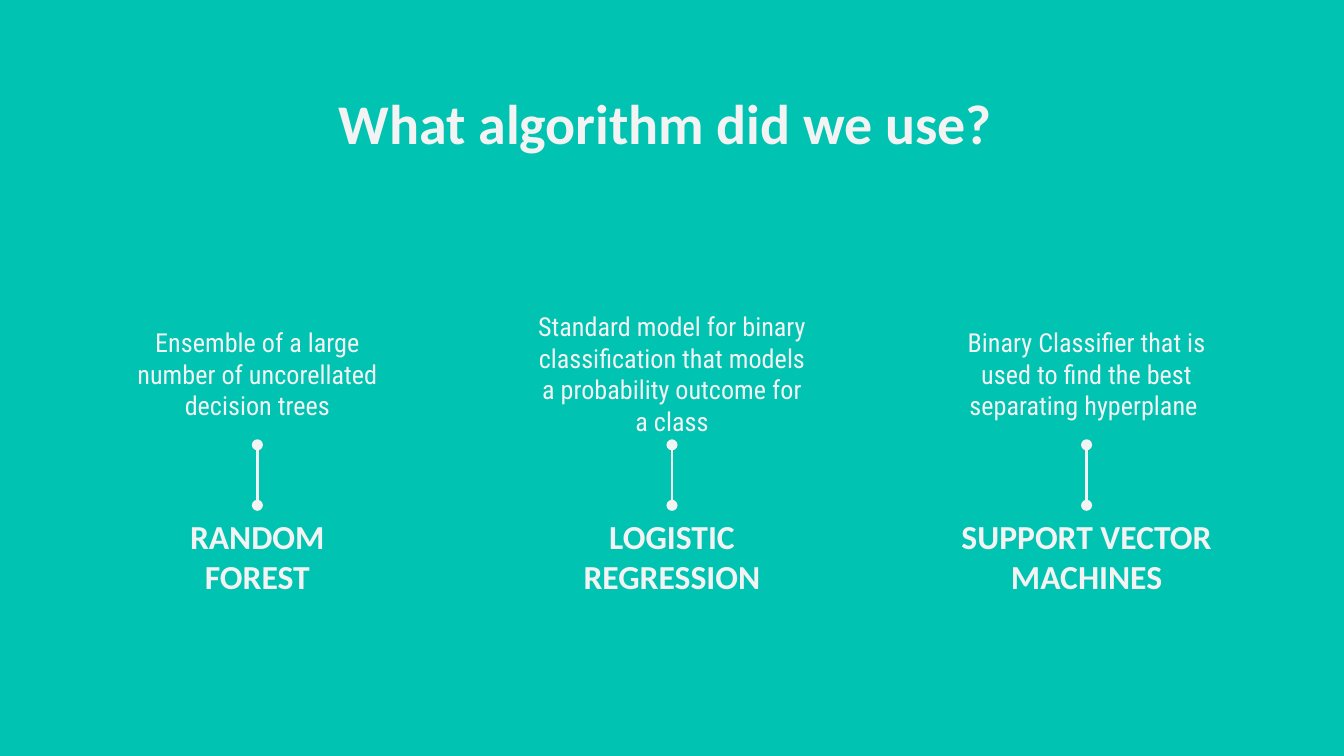
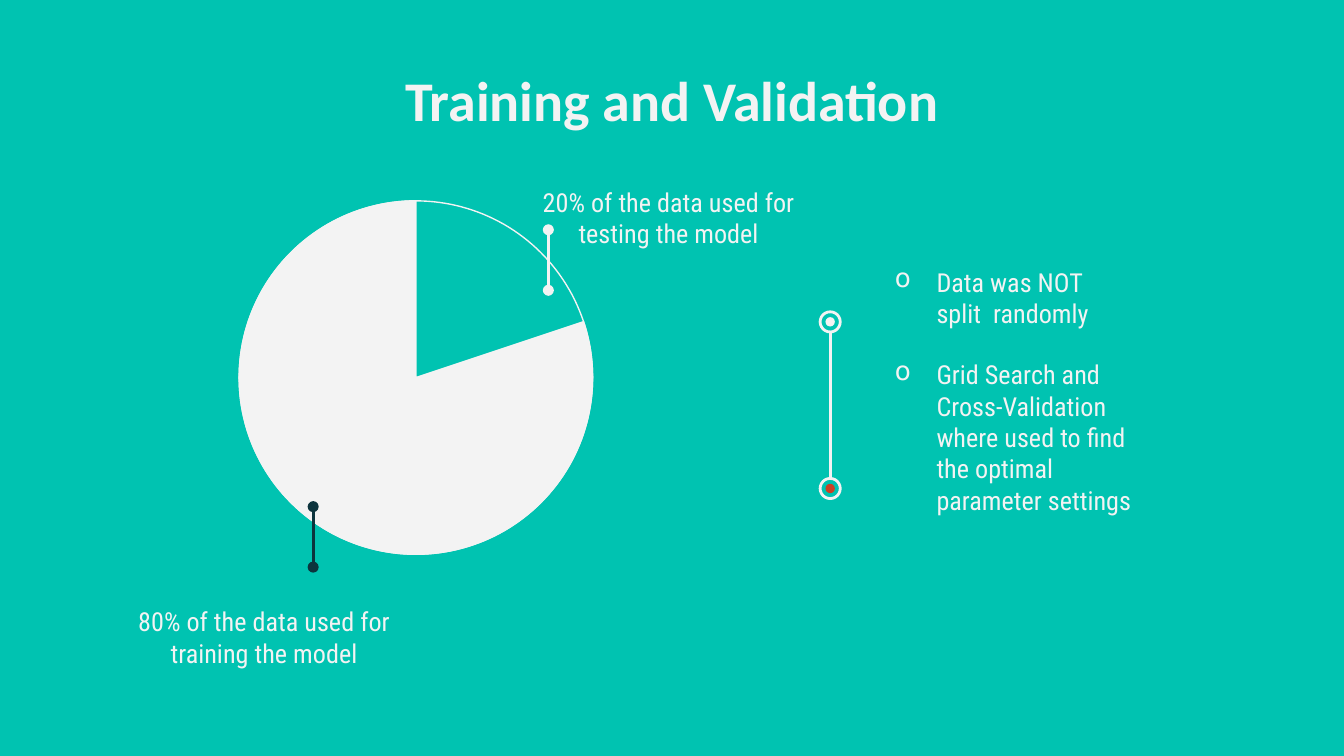
from lxml import etree
from pptx import Presentation
from pptx.dml.color import RGBColor
from pptx.enum.shapes import MSO_CONNECTOR, MSO_SHAPE
from pptx.enum.text import MSO_ANCHOR, PP_ALIGN
from pptx.oxml.ns import qn
from pptx.util import Inches, Pt

TEAL = RGBColor(0x00, 0xC3, 0xB1)
LIGHT = RGBColor(0xF3, 0xF3, 0xF3)
NAVY = RGBColor(0x0C, 0x34, 0x3D)
RED = RGBColor(0xCC, 0x41, 0x25)
OVAL, PIE, STRAIGHT = MSO_SHAPE.OVAL, MSO_SHAPE.PIE, MSO_CONNECTOR.STRAIGHT
LEFT, CENTER = PP_ALIGN.LEFT, PP_ALIGN.CENTER
TOP, MIDDLE = MSO_ANCHOR.TOP, MSO_ANCHOR.MIDDLE

HEADLINE = {"name": "Calibri", "size": Pt(30), "bold": True}
LABEL = {"name": "Calibri", "size": Pt(18), "bold": True}
BODY = {"name": "Roboto Condensed", "size": Pt(14), "bold": False}


def grid(cells):
    """The slide is a grid of 100 columns; cells are square, 0.1 inch wide."""
    return Inches(cells / 10)


class Deck:
    """Holds the shared style and the slide being filled."""

    def __init__(self):
        self.presentation = Presentation()
        self.presentation.slide_width = grid(100)
        self.presentation.slide_height = grid(56.25)
        self.slide = None

    def new_slide(self, title, row):
        self.slide = self.presentation.slides.add_slide(self.presentation.slide_layouts[6])
        fill = self.slide.background.fill
        fill.solid()
        fill.fore_color.rgb = TEAL
        self.text([title], 50, row, 84.3, 6.3, HEADLINE, anchor=TOP)

    def text(self, lines, center, row, width, height, font,
             anchor=MIDDLE, align=CENTER, inset=1, after=0, bullet=None):
        box = self.slide.shapes.add_textbox(
            grid(center - width / 2), grid(row), grid(width), grid(height))
        frame = box.text_frame
        layout = {"word_wrap": True, "vertical_anchor": anchor}
        layout.update({f"margin_{side}": grid(inset)
                       for side in ("left", "right", "top", "bottom")})
        for name, value in layout.items():
            setattr(frame, name, value)
        for index, line in enumerate(lines):
            paragraph = frame.add_paragraph() if index else frame.paragraphs[0]
            paragraph.text = line
            paragraph.alignment = align
            paragraph.space_after = Pt(after)
            for run in paragraph.runs:
                for name, value in font.items():
                    setattr(run.font, name, value)
                run.font.color.rgb = LIGHT
            for line_break in paragraph._p.findall(qn("a:br")):
                etree.SubElement(line_break, qn("a:rPr"), sz=str(int(font["size"].pt * 100)))
            if bullet:
                self.add_bullet(paragraph, bullet)

    def add_bullet(self, paragraph, character, indent=3.1):
        properties = paragraph._p.get_or_add_pPr()
        properties.set("marL", str(grid(indent)))
        properties.set("indent", str(-grid(indent)))
        color = etree.SubElement(properties, qn("a:buClr"))
        etree.SubElement(color, qn("a:srgbClr"), val=str(LIGHT))
        etree.SubElement(properties, qn("a:buChar"), char=character)

    def note(self, text, center, row):
        self.text([text], center, row, 22.5, 10.6, BODY, after=16)

    def round_shape(self, kind, center, middle, size, fill=None, outline=0):
        shape = self.slide.shapes.add_shape(
            kind, grid(center - size / 2), grid(middle - size / 2), grid(size), grid(size))
        shape.shadow.inherit = False
        if fill is None:
            shape.fill.background()
        else:
            shape.fill.solid()
            shape.fill.fore_color.rgb = fill
        if outline:
            shape.line.color.rgb = LIGHT
            shape.line.width = Pt(outline)
        else:
            shape.line.fill.background()
        return shape

    def vertical_line(self, column, top, height=4.5, color=LIGHT, dots=True):
        connector = self.slide.shapes.add_connector(
            STRAIGHT, grid(column), grid(top), grid(column), grid(top + height))
        connector.line.color.rgb = color
        connector.line.width = Pt(1.5)
        properties = connector._element.spPr
        if dots:
            for end in ("a:headEnd", "a:tailEnd"):
                etree.SubElement(properties.find(qn("a:ln")), qn(end), type="oval")
        etree.SubElement(properties, qn("a:effectLst"))

    def ring(self, column, middle, color):
        self.round_shape(OVAL, column, middle, 1.5, outline=1.5)
        self.round_shape(OVAL, column, middle, 0.7, fill=color)


deck = Deck()

# Algorithms: three equal columns, explanation above and name below
deck.new_slide("What algorithm did we use? ", 5.6)
ALGORITHMS = [
    ("RANDOM FOREST", 16.8, "Ensemble of a large number of uncorellated decision trees"),
    ("LOGISTIC REGRESSION", 16.8, "Standard model for binary classification that models "
                                  "a probability outcome for a class"),
    ("SUPPORT VECTOR MACHINES", 19, "Binary Classifier that is used to find the best "
                                    "separating hyperplane "),
]
for index, (name, width, explanation) in enumerate(ALGORITHMS):
    center = 50 + (index - 1) * 30.85
    deck.note(explanation, center, 22.5)
    deck.vertical_line(center, 33.1)
    deck.text([name], center, 37.6, width, 7.5, LABEL, inset=0)

# Training and validation: the split of the data
deck.new_slide("Training and Validation", 3.9)
PIE_CENTER, PIE_MIDDLE, PIE_SIZE = 30.95, 28.1, 26.3
deck.round_shape(OVAL, PIE_CENTER, PIE_MIDDLE, PIE_SIZE, outline=0.75)
training = deck.round_shape(PIE, PIE_CENTER, PIE_MIDDLE, PIE_SIZE, fill=LIGHT, outline=0.75)
training.adjustments[0] = 204.94
training.adjustments[1] = 162
deck.vertical_line(40.8, 17.1)
deck.vertical_line(23.3, 37.7, color=NAVY)
deck.note("20% of the data used for testing the model", 49.75, 10.9)
deck.note("80% of the data used for training the model", 19.65, 42.1)

# Remarks beside a line with a ring at each end
deck.text(["Data was NOT \vsplit  randomly",
           "Grid Search and Cross-Validation where used to find the optimal parameter settings"],
          76.55, 18.8, 21.9, 4.3, BODY, anchor=TOP, align=LEFT, after=16, bullet="o")
RING_COLUMN, RING_TOP, RING_GAP = 61.77, 23.95, 12.4
deck.vertical_line(RING_COLUMN, RING_TOP + 0.75, RING_GAP - 1.5, dots=False)
for index, color in enumerate((LIGHT, RED)):
    deck.ring(RING_COLUMN, RING_TOP + index * RING_GAP, color)

deck.presentation.save("out.pptx")
